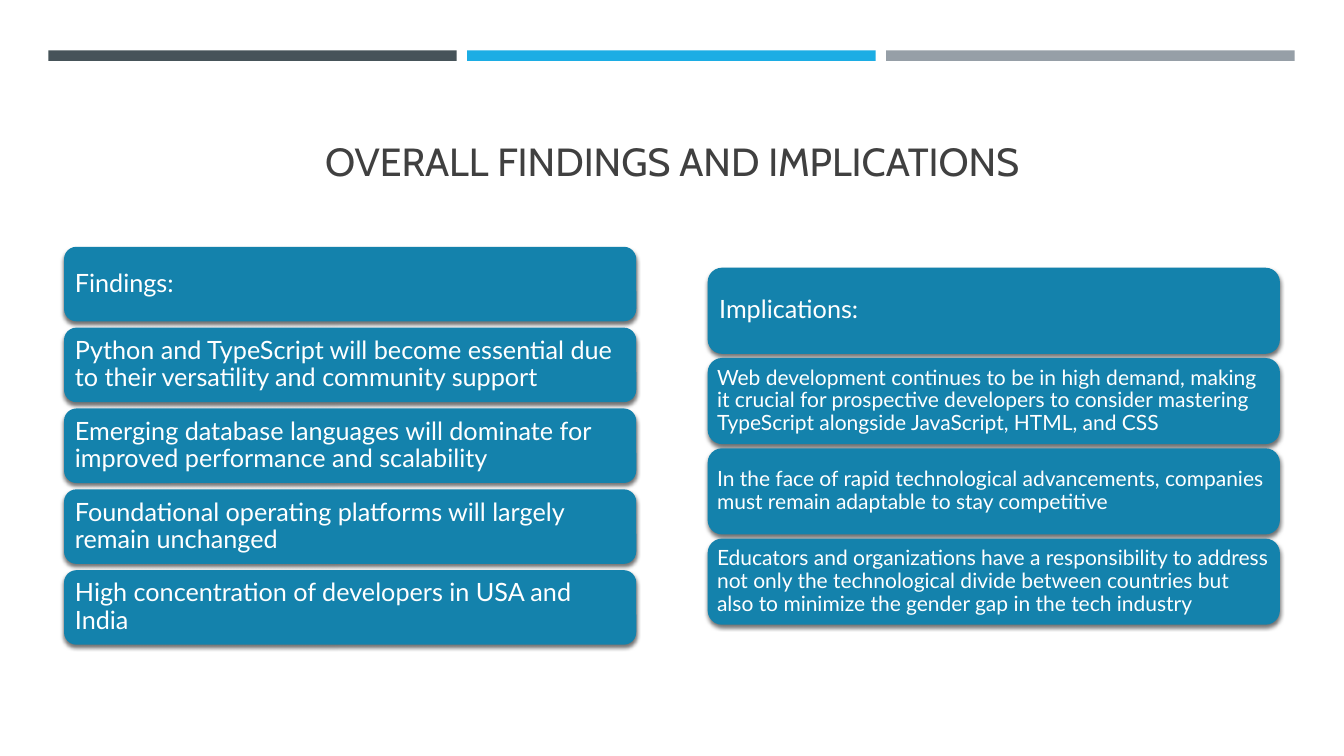
from pptx import Presentation
from pptx.dml.color import RGBColor
from pptx.enum.shapes import MSO_SHAPE
from pptx.enum.text import MSO_ANCHOR, MSO_AUTO_SIZE, PP_ALIGN
from pptx.oxml import parse_xml
from pptx.oxml.ns import nsdecls
from pptx.util import Pt

PX = 9525  # 96 px to the inch
SLATE = RGBColor(0x46, 0x53, 0x59)
SKY = RGBColor(0x1C, 0xAD, 0xE4)
GRAY = RGBColor(0x96, 0x9F, 0xA7)
BLUE = RGBColor(0x14, 0x82, 0xAC)
DARK = RGBColor(0x40, 0x40, 0x40)
WHITE = RGBColor(0xFF, 0xFF, 0xFF)
SHADOW = (
    f'<a:effectLst {nsdecls("a")}>'
    f'<a:outerShdw blurRad="{Pt(3)}" dist="{Pt(2)}" dir="5400000" rotWithShape="0">'
    '<a:srgbClr val="000000"><a:alpha val="55000"/></a:srgbClr>'
    '</a:outerShdw></a:effectLst>'
)


def write(shape, text, size, font="Lato", color=WHITE, align=PP_ALIGN.LEFT,
          anchor=MSO_ANCHOR.MIDDLE, pad=None, line=None):
    frame = shape.text_frame
    frame.text = text
    frame.word_wrap = True
    frame.auto_size = MSO_AUTO_SIZE.NONE
    frame.vertical_anchor = anchor
    if pad is not None:
        frame.margin_left = frame.margin_right = pad * PX
        frame.margin_top = frame.margin_bottom = pad * PX
    para = frame.paragraphs[0]
    para.alignment = align
    para.line_spacing = line
    para.font.size = Pt(size)
    para.font.name = font
    para.font.color.rgb = color


def block(kind, x, y, w, h, color):
    shape = slide.shapes.add_shape(kind, x * PX, y * PX, w * PX, h * PX)
    shape.shadow.inherit = False
    shape.fill.solid()
    shape.fill.fore_color.rgb = color
    shape.line.fill.background()
    return shape


# Slide
deck = Presentation()
deck.slide_width = 1280 * PX
deck.slide_height = 720 * PX
slide = deck.slides.add_slide(deck.slide_layouts[5])

# Top bars
for i, color in enumerate((SLATE, SKY, GRAY)):
    block(MSO_SHAPE.RECTANGLE, 46 + i * 399, 48, 389, 10, color)

# Title
title = slide.shapes.title
title.left, title.top = 61 * PX, 76 * PX
title.width, title.height = 1158 * PX, 104 * PX
write(title, "OVERALL FINDINGS AND IMPLICATIONS", 28, font="Cabin", color=DARK,
      align=PP_ALIGN.CENTER, anchor=MSO_ANCHOR.BOTTOM)

# Two stacks of cards: left, top, height, step, body size, texts
stacks = [
    (61, 235, 71, 77, 18, [
        "Findings:",
        "Python and TypeScript will become essential due to their versatility and community support",
        "Emerging database languages will dominate for improved performance and scalability",
        "Foundational operating platforms will largely remain unchanged",
        "High concentration of developers in USA and India",
    ]),
    (674, 255, 82, 86, 15, [
        "Implications:",
        "Web development continues to be in high demand, making it crucial for prospective "
        "developers to consider mastering TypeScript alongside JavaScript, HTML, and CSS",
        "In the face of rapid technological advancements, companies must remain adaptable "
        "to stay competitive",
        "Educators and organizations have a responsibility to address not only the technological "
        "divide between countries but also to minimize the gender gap in the tech industry",
    ]),
]
for left, top, high, step, body, texts in stacks:
    for i, text in enumerate(texts):
        card = block(MSO_SHAPE.ROUNDED_RECTANGLE, left, top + i * step, 545, high, BLUE)
        props = card.element.spPr
        props.replace(props.find("{*}effectLst"), parse_xml(SHADOW))
        size = body if i else 18
        write(card, text, size, pad=7 if size == 18 else 5, line=0.9)

deck.save("out.pptx")
